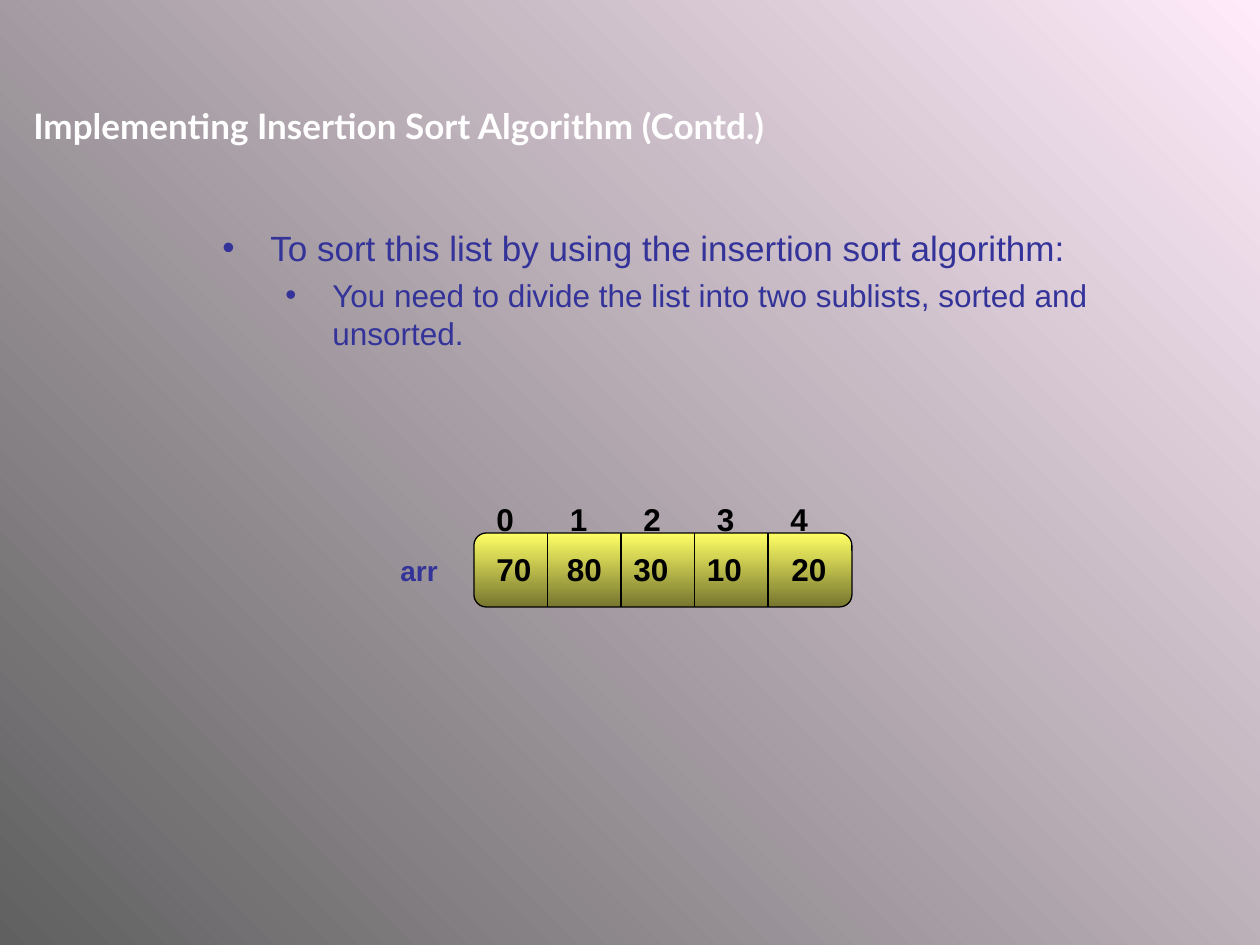
from lxml import etree
from pptx import Presentation
from pptx import util as u
from pptx.dml.color import RGBColor
from pptx.enum import shapes, text
from pptx.oxml.ns import qn

SLIDE_WIDTH, SLIDE_HEIGHT = 1260, 945
EMU_PER_PX = 914400 / 126

BLACK = RGBColor(0x00, 0x00, 0x00)
WHITE = RGBColor(0xFF, 0xFF, 0xFF)
INDIGO = RGBColor(0x33, 0x33, 0x99)
GREY = RGBColor(0x60, 0x60, 0x60)
PINK = RGBColor(0xFF, 0xEB, 0xFA)
YELLOW = RGBColor(0xFF, 0xFF, 0x66)
OLIVE = RGBColor(0x76, 0x76, 0x2F)


def px(length):
    return u.Emu(round(length * EMU_PER_PX))


def box_px(*lengths):
    return [px(length) for length in lengths]


def fill_gradient(fill, start, end, angle):
    """Blend two colours; the angle runs counter-clockwise."""
    fill.gradient()
    fill.gradient_angle = angle
    for stop, position, color in zip(fill.gradient_stops, (0, 1), (start, end)):
        stop.position = position
        stop.color.rgb = color


def add_text_box(slide, box, wrap=True):
    frame = slide.shapes.add_textbox(*box_px(*box)).text_frame
    frame.word_wrap = wrap
    return frame


def write_text(paragraph, content, size=18, color=BLACK, font="Arial",
               bold=False, before=0):
    paragraph.space_before = u.Pt(before)
    run = paragraph.add_run()
    run.text = content
    run.font.size = u.Pt(size)
    run.font.name = font
    run.font.bold = bold
    run.font.color.rgb = color


def add_label(slide, content, box, wrap=True, **text_format):
    frame = add_text_box(slide, box, wrap)
    frame.auto_size = text.MSO_AUTO_SIZE.SHAPE_TO_FIT_TEXT
    write_text(frame.paragraphs[0], content, bold=True, **text_format)


def add_bullet(paragraph, margin, hanging, color):
    properties = paragraph._p.get_or_add_pPr()
    properties.set("marL", str(px(margin)))
    properties.set("indent", str(-px(hanging)))
    bullet_color = etree.SubElement(properties, qn("a:buClr"))
    etree.SubElement(bullet_color, qn("a:srgbClr"), val=str(color))
    etree.SubElement(properties, qn("a:buFont"), typeface="Arial")
    etree.SubElement(properties, qn("a:buChar"), char="•")


def add_steps(slide, box):
    frame = add_text_box(slide, box)
    steps = [
        ("To sort this list by using the insertion sort algorithm:", 20, 5, 48, 48),
        ("You need to divide the list into two sublists, sorted and unsorted.",
         18, 4.5, 110, 47),
    ]
    for level, (content, size, before, margin, hanging) in enumerate(steps):
        paragraph = frame.add_paragraph() if level else frame.paragraphs[0]
        paragraph.level = level
        write_text(paragraph, content, size=size, color=INDIGO, before=before)
        add_bullet(paragraph, margin, hanging, INDIGO)


def add_divider(slide, x, top, bottom):
    line = slide.shapes.add_connector(
        shapes.MSO_CONNECTOR.STRAIGHT, *box_px(x, top, x, bottom))
    line.line.color.rgb = BLACK
    line.line.width = u.Pt(0.75)
    etree.SubElement(line._element.spPr, qn("a:effectLst"))


def add_array(slide, box, pitch, name, cells):
    """Draw an array; each cell is a value and its offset from the cell's left."""
    left, top, width, height = box

    # Body
    body = slide.shapes.add_shape(
        shapes.MSO_SHAPE.ROUNDED_RECTANGLE, *box_px(*box))
    body.adjustments[0] = 0.167
    body.shadow.inherit = False
    fill_gradient(body.fill, YELLOW, OLIVE, 270)
    body.line.color.rgb = BLACK
    body.line.width = u.Pt(0.75)

    # Indexes, dividers and values
    for index, (value, offset) in enumerate(cells):
        cell_left = left + index * pitch
        add_label(slide, str(index), (cell_left + 10, top - 39, 43, 50), wrap=False)
        if index:
            add_divider(slide, cell_left, top, top + height)
        add_label(slide, str(value), (cell_left + offset, top + 11, 64, 50))

    # Name, in a box with room for one line
    add_label(slide, name, (left - 86, top + 14, 65, 47), wrap=False,
              size=16, color=INDIGO)


def main():
    presentation = Presentation()
    presentation.slide_width, presentation.slide_height = box_px(
        SLIDE_WIDTH, SLIDE_HEIGHT)
    slide = presentation.slides.add_slide(presentation.slide_layouts[6])
    fill_gradient(slide.background.fill, GREY, PINK, 45)

    add_steps(slide, (210, 220, 1008, 242))
    add_label(slide, "Implementing Insertion Sort Algorithm (Contd.)",
              (21, 98, 945, 55), size=20, color=WHITE, font="Lato", before=12.5)
    add_array(slide, (474, 533, 378, 74), 73.5, "arr",
              [(70, 10), (80, 7), (30, 0), (10, 0), (20, 11)])

    presentation.save("out.pptx")


if __name__ == "__main__":
    main()
